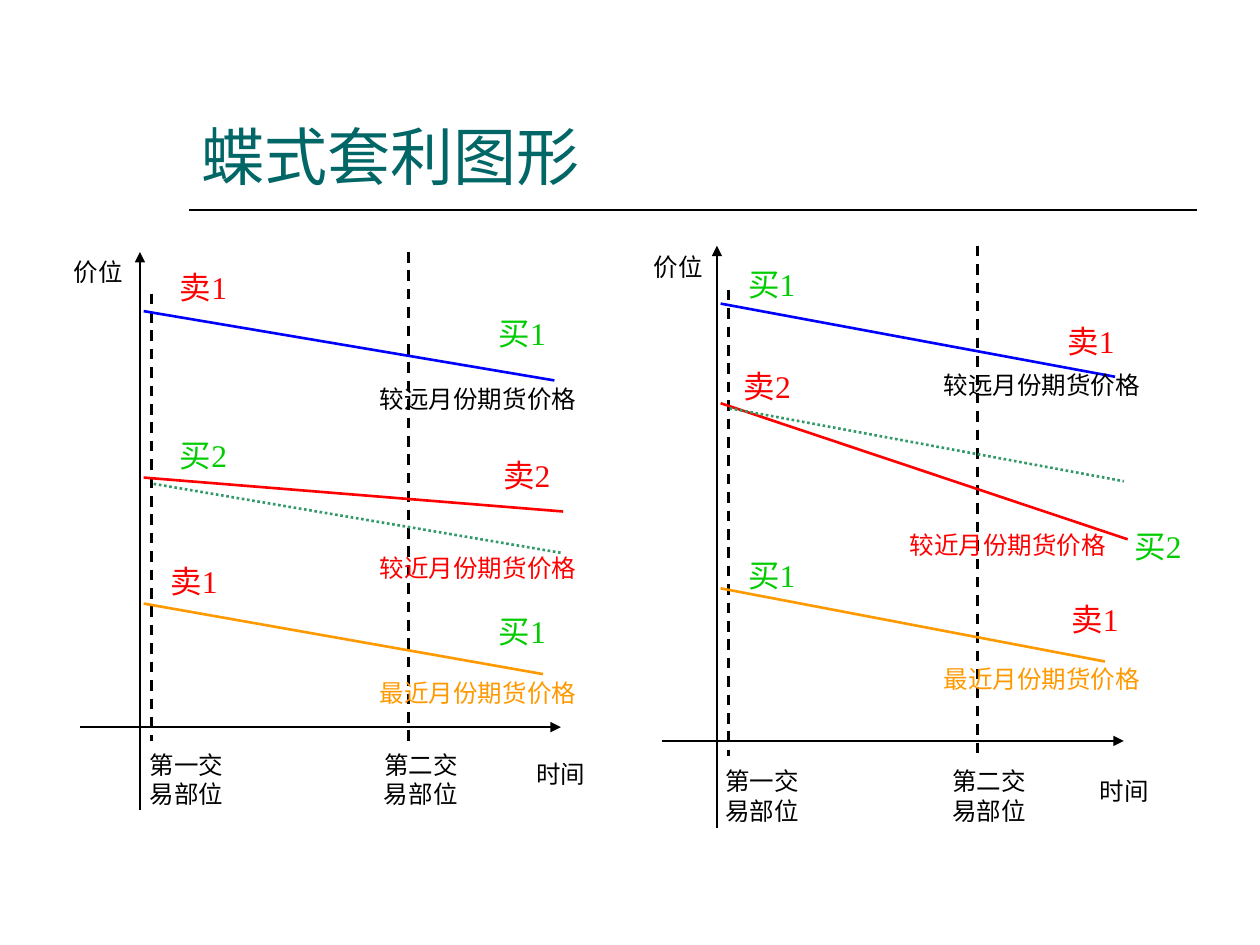
"""Builds a slide with two price charts for butterfly spreads."""
from lxml import etree
from pptx import Presentation
from pptx.dml.color import RGBColor
from pptx.enum.dml import MSO_LINE
from pptx.enum.shapes import MSO_CONNECTOR
from pptx.enum.text import MSO_ANCHOR, PP_ALIGN
from pptx.oxml.ns import qn
from pptx.util import Pt

STRAIGHT = MSO_CONNECTOR.STRAIGHT
DASH, DOT = MSO_LINE.DASH, MSO_LINE.ROUND_DOT
MIDDLE, BOTTOM = MSO_ANCHOR.MIDDLE, MSO_ANCHOR.BOTTOM
LEFT, CENTER = PP_ALIGN.LEFT, PP_ALIGN.CENTER

THEME = {
    "ink": "000000", "title": "006666", "far": "0000FF", "near": "FF0000",
    "last": "FF9900", "trend": "339966", "买": "00CC00", "卖": "FF0000",
    "head": ("Arial", 36), "body": ("Times New Roman", 14),
    "mark": ("Times New Roman", 18),
    "thin": 0.75, "rule": 1, "bold": 1.5,
}

TITLE = "蝶式套利图形"
FAR, NEAR, LAST = "较远月份期货价格", "较近月份期货价格", "最近月份期货价格"
STEPS = ("第一交易部位", "第二交易部位")

# text sizes: width, height
AXIS, STEP, NAME, MARK = (33, 17), (52.5, 34), (125, 17), (46, 21.6)

CHARTS = [
    {
        "time": (46, 320.5, 415.5), "price": (80, 463, 144),
        "stops": [(86.4, 167.8), (233.3, 144)], "foot": 423.4,
        "axes": [("价位", 56.2, 155.2), ("时间", 320.4, 442.4)],
        "steps": (106.6, 240.5), "base": 445.3,
        "lines": [
            ("far", 82.1, 177.8, 316.8, 217.4),
            ("near", 82.1, 272.9, 321.8, 292.3),
            ("trend", 87.8, 276.5, 321.8, 316.1),
            ("last", 82.1, 344.9, 310.3, 385.2),
        ],
        "names": [(FAR, "ink", 273.2, 228), (NEAR, "near", 273.2, 324.4),
                  (LAST, "last", 273.2, 395.6)],
        "marks": [("卖1", 116.3, 164.2), ("买1", 298.4, 190.1),
                  ("买2", 116.3, 259.9), ("卖2", 301, 271.4),
                  ("卖1", 110.9, 331.9), ("买1", 298.4, 360.7)],
    },
    {
        "time": (378, 642.2, 423.4), "price": (409.7, 473, 140.4),
        "stops": [(416.2, 165.6), (558.7, 140.4)], "foot": 432,
        "axes": [("价位", 387.7, 152.3), ("时间", 642.6, 451.8)],
        "steps": (435.6, 565.2), "base": 454.7,
        "lines": [
            ("far", 411.8, 173.5, 637.2, 215.3),
            ("near", 411.8, 230.4, 644.4, 308.2),
            ("trend", 416.9, 233.3, 642.2, 275),
            ("last", 411.8, 336.2, 631.4, 378),
        ],
        "names": [(FAR, "ink", 595.4, 220), (NEAR, "near", 576, 311.4),
                  (LAST, "last", 595.4, 387.7)],
        "marks": [("买1", 441, 162), ("卖1", 623.5, 195.1),
                  ("卖2", 438.5, 220.3), ("买2", 661.7, 311.8),
                  ("买1", 441, 328.3), ("卖1", 625.7, 353.5)],
    },
]


def add_line(slide, ends, color="ink", width="bold", dash=None, arrow=False):
    """Draw a straight line between two points."""
    line = slide.shapes.add_connector(STRAIGHT, *(Pt(n) for n in ends))
    line.line.color.rgb = RGBColor.from_string(THEME[color])
    line.line.width = Pt(THEME[width])
    if dash:
        line.line.dash_style = dash
    if arrow:
        tail = etree.SubElement(line.line._get_or_add_ln(), qn("a:tailEnd"))
        tail.set("type", "triangle")
    etree.SubElement(line._element.spPr, qn("a:effectLst"))


def add_text(slide, text, box, color, style, align, anchor, pad=(0, 0)):
    """Put one paragraph in a box."""
    frame = slide.shapes.add_textbox(*(Pt(n) for n in box)).text_frame
    frame.word_wrap = True
    frame.vertical_anchor = anchor
    frame.margin_left = frame.margin_right = Pt(pad[0])
    frame.margin_top = frame.margin_bottom = Pt(pad[1])
    frame.text = text
    para = frame.paragraphs[0]
    para.alignment = align
    font = para.runs[0].font
    font.name, size = THEME[style]
    font.size = Pt(size)
    font.color.rgb = RGBColor.from_string(THEME[color])


def add_label(slide, text, x, y, size, color="ink", style="body"):
    """Centre a label on a point."""
    wide, high = size
    box = (x - wide / 2, y - high / 2, wide, high)
    add_text(slide, text, box, color, style, CENTER, MIDDLE)


def add_graph(slide, graph):
    """Draw one price chart with its axes, lines and labels."""
    start, end, y = graph["time"]
    add_line(slide, (start, y, end, y), width="thin", arrow=True)
    x, low, top = graph["price"]
    add_line(slide, (x, low, x, top), width="thin", arrow=True)
    for x, top in graph["stops"]:
        add_line(slide, (x, top, x, graph["foot"]), dash=DASH)
    for color, *ends in graph["lines"]:
        add_line(slide, ends, color, dash=DOT if color == "trend" else None)
    for text, x, y in graph["axes"]:
        add_label(slide, text, x, y, AXIS)
    for text, x in zip(STEPS, graph["steps"]):
        add_label(slide, text, x, graph["base"], STEP)
    for text, color, x, y in graph["names"]:
        add_label(slide, text, x, y, NAME, color)
    for text, x, y in graph["marks"]:
        add_label(slide, text, x, y, MARK, text[0], "mark")


def main():
    """Build and save the slide."""
    deck = Presentation()
    deck.slide_width, deck.slide_height = Pt(720), Pt(540)
    slide = deck.slides.add_slide(deck.slide_layouts[6])
    add_line(slide, (108, 120, 684, 120), width="rule")
    add_text(slide, TITLE, (108, 24, 576, 90), "title", "head",
             LEFT, BOTTOM, (7.2, 3.6))
    for graph in CHARTS:
        add_graph(slide, graph)
    deck.save("out.pptx")


if __name__ == "__main__":
    main()
